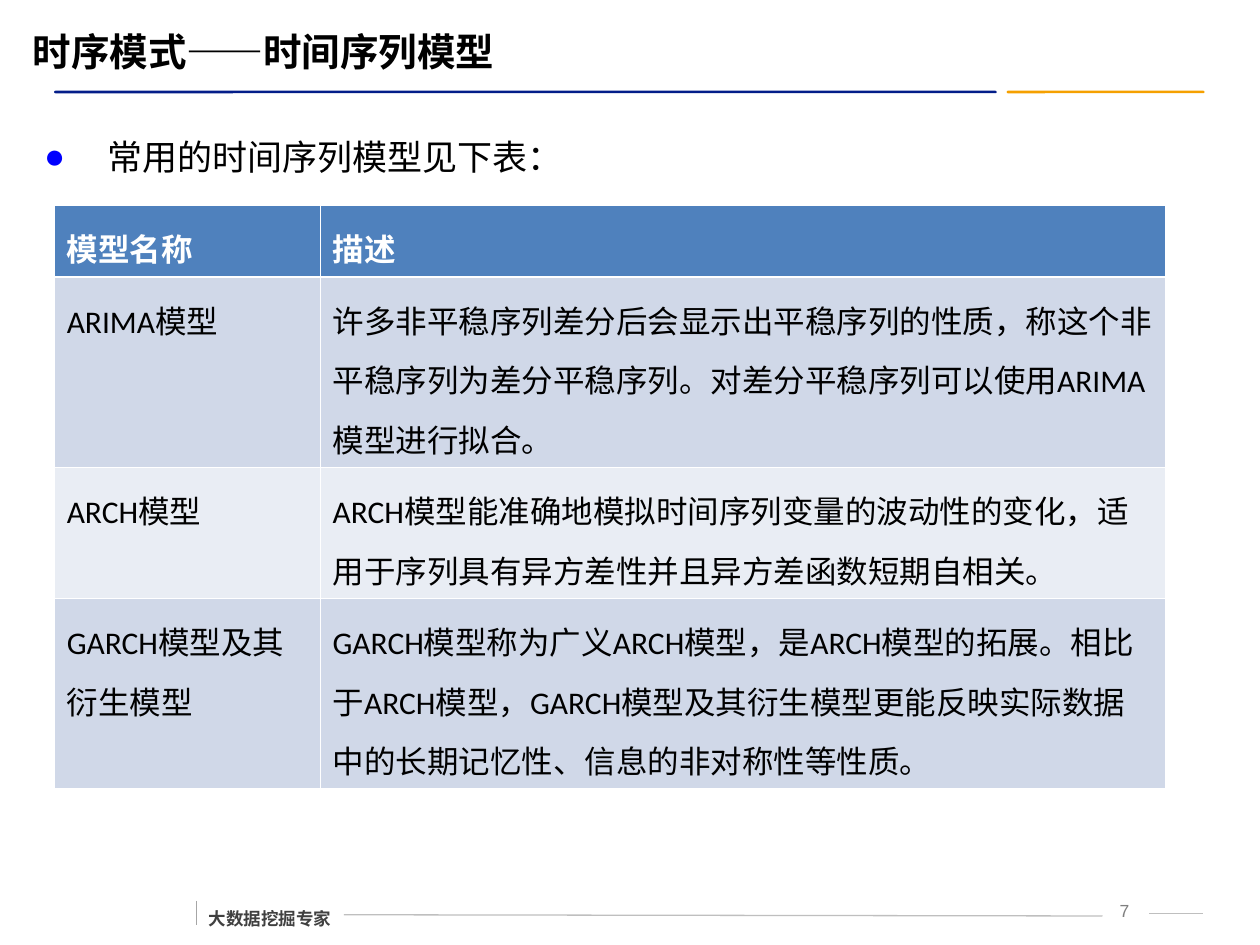
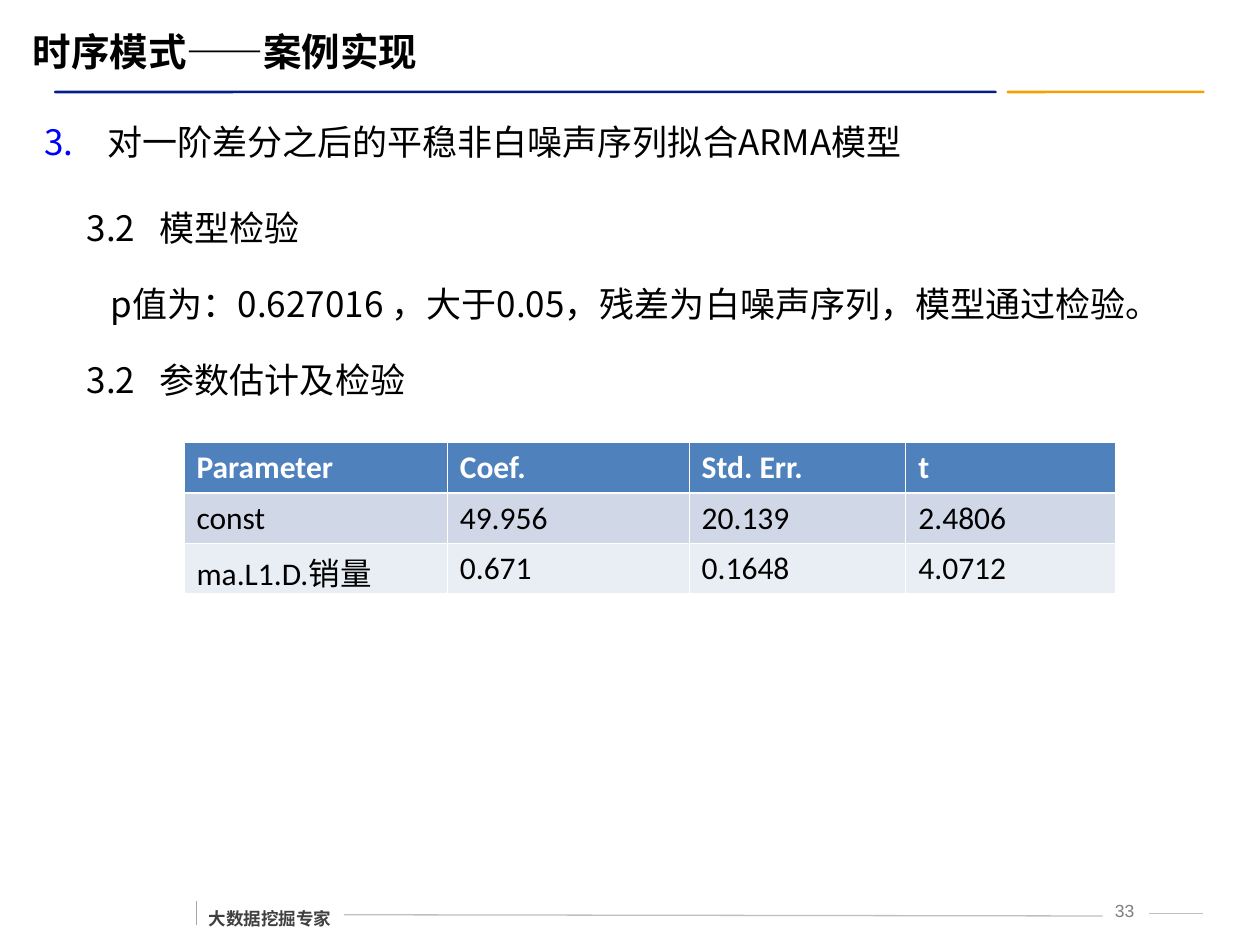
import pptx
import pptx.dml.color
import pptx.enum.shapes
import pptx.enum.text
import pptx.oxml.ns
import pptx.util
from lxml import etree

Inches = pptx.util.Inches
Pt = pptx.util.Pt
Align = pptx.enum.text.PP_ALIGN
Anchor = pptx.enum.text.MSO_ANCHOR
qn = pptx.oxml.ns.qn

COLORS = {
    "black": "000000", "white": "FFFFFF", "navy": "031D89", "orange": "F5A000",
    "bullet": "0000FF", "header": "4F81BD", "odd_row": "D0D8E8", "even_row": "E9EDF4",
    "footer": "404040", "number": "7F7F7F", "rule": "BFBFBF", "tick": "A6A6A6",
}
CJK_FONT = "Noto Sans CJK SC"


def rgb(name):
    return pptx.dml.color.RGBColor.from_string(COLORS[name])


def add_xml(parent, tag, **attributes):
    return etree.SubElement(parent, qn(tag), attributes)


def write_text(para, text, size=20, color="black", bold=False, font=CJK_FONT,
               align=Align.LEFT, line=1.0, after=0):
    para.alignment = align
    para.line_spacing = line
    para.space_before = Pt(0)
    para.space_after = Pt(after)
    span = para.add_run()
    span.text = text
    span.font.size = Pt(size)
    span.font.bold = bold
    span.font.name = font
    span.font.color.rgb = rgb(color)
    add_xml(span.font._element, "a:ea", typeface=CJK_FONT)


def indent(para, left, first=0):
    props = para._p.get_or_add_pPr()
    props.set("marL", str(Inches(left)))
    props.set("indent", str(Inches(first)))
    return props


class SlideWriter:
    def __init__(self, deck):
        self.deck = deck
        self.page = None

    def start(self, title, number):
        self.page = self.deck.slides.add_slide(self.deck.slide_layouts[1])
        self.bar(0.43, 7.48, "navy")
        self.bar(7.99, 1.57, "orange")
        self.line(2.73, 7.26, 8.75, 7.27, "rule")
        self.line(9.12, 7.25, 9.55, 7.25, "rule")
        self.line(1.56, 7.15, 1.56, 7.34, "tick")
        footer = self.text_box(1.56, 7.07, 1.17, 0.35, wrap=False)
        write_text(footer.paragraphs[0], "大数据挖掘专家", size=10, color="footer",
                   bold=True, line=1.5)
        counter = self.text_box(8.69, 7.09, 0.47, 0.25)
        write_text(counter.paragraphs[0], number, size=10, color="number",
                   font="Arial", align=Align.CENTER)
        frame = self.place(self.page.shapes.title, 0.16, 0.17, 9.1, 0.47)
        frame.vertical_anchor = Anchor.MIDDLE
        write_text(frame.paragraphs[0], title, size=22, bold=True)

    def place(self, box, left, top, width, height):
        box.left, box.top = Inches(left), Inches(top)
        box.width, box.height = Inches(width), Inches(height)
        frame = box.text_frame
        frame.auto_size = pptx.enum.text.MSO_AUTO_SIZE.NONE
        frame.word_wrap = True
        return frame

    def bar(self, left, width, color):
        bar = self.page.shapes.add_shape(
            pptx.enum.shapes.MSO_SHAPE.ROUNDED_RECTANGLE,
            Inches(left), Inches(0.72), Inches(width), Inches(0.02))
        bar.adjustments[0] = 0.5
        bar.shadow.inherit = False
        bar.fill.solid()
        bar.fill.fore_color.rgb = rgb(color)
        bar.line.fill.background()

    def line(self, x1, y1, x2, y2, color):
        line = self.page.shapes.add_connector(
            pptx.enum.shapes.MSO_CONNECTOR.STRAIGHT,
            Inches(x1), Inches(y1), Inches(x2), Inches(y2))
        line.line.color.rgb = rgb(color)
        line.line.width = Pt(0.75)
        add_xml(line._element.spPr, "a:effectLst")

    def text_box(self, left, top, width, height, wrap=True):
        box = self.page.shapes.add_textbox(
            Inches(left), Inches(top), Inches(width), Inches(height))
        box.text_frame.word_wrap = wrap
        return box.text_frame

    def list_item(self, text, top, width, height, line, start=None):
        frame = self.place(self.page.placeholders[1], 0.35, top, width, height)
        frame.margin_left = frame.margin_right = 0
        frame.margin_top = frame.margin_bottom = 0
        frame.vertical_anchor = Anchor.TOP
        para = frame.paragraphs[0]
        props = indent(para, 0.5, -0.5)
        add_xml(add_xml(props, "a:buClr"), "a:srgbClr", val=COLORS["bullet"])
        if start:
            add_xml(props, "a:buFont", typeface=CJK_FONT)
            add_xml(props, "a:buAutoNum", type="arabicPeriod", startAt=str(start))
        else:
            add_xml(props, "a:buFont", typeface="Arial")
            add_xml(props, "a:buChar", char="●")
        write_text(para, text, line=line)

    def borders(self, cell, row):
        props = cell._tc.get_or_add_tcPr()
        heavy = {0: "a:lnB", 1: "a:lnT"}.get(row)
        for side in ("a:lnL", "a:lnR", "a:lnT", "a:lnB"):
            edge = add_xml(props, side, w=str(Pt(1.47 if side == heavy else 0.45)))
            add_xml(add_xml(edge, "a:solidFill"), "a:srgbClr", val=COLORS["white"])

    def table(self, rows, left, top, widths, heights, line=1.0):
        table = self.page.shapes.add_table(
            len(rows), len(widths), Inches(left), Inches(top),
            Inches(sum(widths)), Inches(sum(heights))).table
        for column, width in zip(table.columns, widths):
            column.width = Inches(width)
        for row, (texts, height) in enumerate(zip(rows, heights)):
            table.rows[row].height = Inches(height)
            fill = "header" if row == 0 else ("even_row", "odd_row")[row % 2]
            for column, text in enumerate(texts):
                cell = table.cell(row, column)
                self.borders(cell, row)
                cell.fill.solid()
                cell.fill.fore_color.rgb = rgb(fill)
                write_text(cell.text_frame.paragraphs[0], text, size=18,
                           color="black" if row else "white", bold=row == 0,
                           font="Calibri", line=line)


def build_models(writer):
    writer.start("时序模式——时间序列模型", "7")
    writer.list_item("常用的时间序列模型见下表：", 0.91, 9.22, 0.5, line=1.5)
    writer.table([
        ("模型名称", "描述"),
        ("ARIMA模型", "许多非平稳序列差分后会显示出平稳序列的性质，称这个非平稳序列为差分平稳序列。"
                    "对差分平稳序列可以使用ARIMA模型进行拟合。"),
        ("ARCH模型", "ARCH模型能准确地模拟时间序列变量的波动性的变化，"
                   "适用于序列具有异方差性并且异方差函数短期自相关。"),
        ("GARCH模型及其衍生模型", "GARCH模型称为广义ARCH模型，是ARCH模型的拓展。相比于ARCH模型，"
                          "GARCH模型及其衍生模型更能反映实际数据中的长期记忆性、信息的非对称性等性质。"),
    ], 0.43, 1.63, (2.11, 6.71), (0.57, 1.51, 1.04, 1.51), line=1.3)


def build_case(writer):
    writer.start("时序模式——案例实现", "33")
    writer.list_item("对一阶差分之后的平稳非白噪声序列拟合ARMA模型", 0.76, 9.53, 0.53,
                     line=1.6, start=3)
    frame = writer.text_box(0.59, 1.39, 9.14, 1.84)
    steps = ("3.2\t模型检验",
             "p值为：0.627016 ，大于0.05，残差为白噪声序列，模型通过检验。",
             "3.2\t参数估计及检验")
    for index, text in enumerate(steps):
        para = frame.add_paragraph() if index else frame.paragraphs[0]
        if "\t" in text:
            tabs = add_xml(para._p.get_or_add_pPr(), "a:tabLst")
            add_xml(tabs, "a:tab", pos=str(Inches(0.58)), algn="l")
        else:
            indent(para, 0.19)
        write_text(para, text, line=1.6, after=5)
    writer.table([
        ("Parameter", "Coef.", "Std. Err.", "t"),
        ("const", "49.956", "20.139", "2.4806"),
        ("ma.L1.D.销量", "0.671", "0.1648", "4.0712"),
    ], 1.46, 3.51, (2.09, 1.92, 1.72, 1.66), (0.4,) * 3)


def main():
    deck = pptx.Presentation()
    deck.slide_width, deck.slide_height = Inches(10), Inches(7.5)
    writer = SlideWriter(deck)
    build_models(writer)
    build_case(writer)
    deck.save("out.pptx")


if __name__ == "__main__":
    main()
